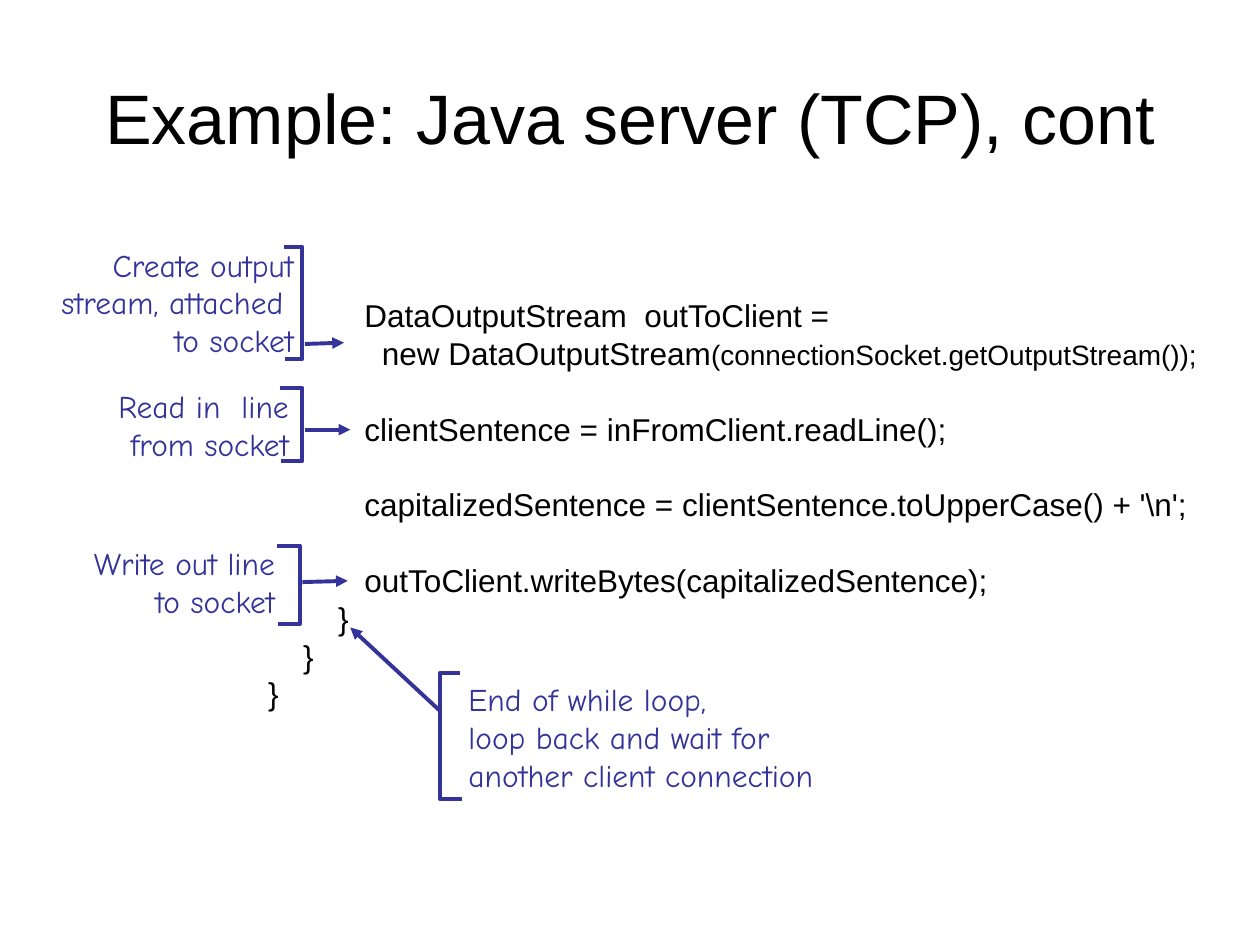
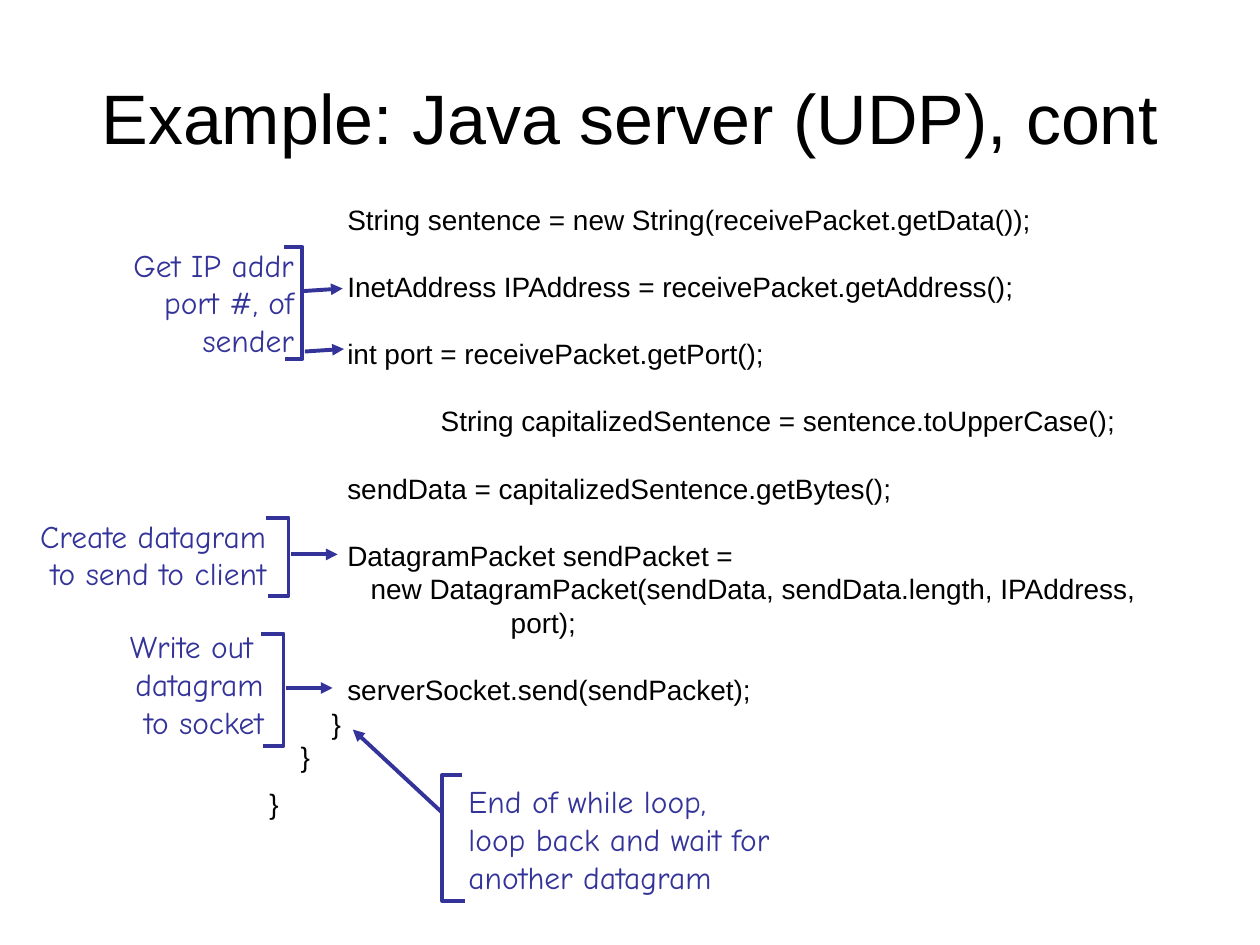
from lxml import etree
from pptx import Presentation
from pptx.dml.color import RGBColor
from pptx.enum.shapes import MSO_CONNECTOR
from pptx.enum.text import MSO_ANCHOR, MSO_AUTO_SIZE, PP_ALIGN
from pptx.oxml.ns import qn
from pptx.util import Inches, Pt

BLACK = RGBColor(0x00, 0x00, 0x00)
INDIGO = RGBColor(0x33, 0x33, 0x99)
STRAIGHT = MSO_CONNECTOR.STRAIGHT
TOP, MIDDLE = MSO_ANCHOR.TOP, MSO_ANCHOR.MIDDLE
LEFT, CENTER, RIGHT = PP_ALIGN.LEFT, PP_ALIGN.CENTER, PP_ALIGN.RIGHT
NO_AUTOFIT = MSO_AUTO_SIZE.NONE

SLIDE_WIDTH, SLIDE_HEIGHT = Inches(10), Inches(7.5)
COLUMNS, ROWS = 100, 75
TITLE_ONLY = 5
LEADING = 1.2
SPACE_WIDTH = 0.278
SIDE_INSET, END_INSET = Inches(0.1), Inches(0.05)


def apply(target, values):
    for name, value in values.items():
        setattr(target, name, value)


class Deck:
    title_font = {"name": "Arial", "size": Pt(40)}
    code_font = {"name": "Arial"}
    note_font = {"name": "Comic Neue", "size": Pt(18)}
    line_width = Pt(2.25)

    def __init__(self):
        self.presentation = Presentation()
        apply(self.presentation,
              {"slide_width": SLIDE_WIDTH, "slide_height": SLIDE_HEIGHT})
        self.slide = None

    def x(self, columns):
        return round(SLIDE_WIDTH * columns / COLUMNS)

    def y(self, rows):
        return round(SLIDE_HEIGHT * rows / ROWS)

    def place(self, left, top, width, height):
        return self.x(left), self.y(top), self.x(width), self.y(height)

    def add_run(self, paragraph, text, font, color):
        run = paragraph.add_run()
        run.text = text
        apply(run.font, font)
        run.font.color.rgb = color

    def add_slide(self, title):
        layout = self.presentation.slide_layouts[TITLE_ONLY]
        self.slide = self.presentation.slides.add_slide(layout)
        shape = self.slide.shapes.title
        left, top, width, height = self.place(5, 3, 90, 12.5)
        apply(shape, {"left": left, "top": top, "width": width, "height": height})
        apply(shape.text_frame,
              {"auto_size": NO_AUTOFIT, "vertical_anchor": MIDDLE})
        paragraph = shape.text_frame.paragraphs[0]
        apply(paragraph, {"alignment": CENTER, "line_spacing": Pt(40 * LEADING)})
        self.add_run(paragraph, title, self.title_font, BLACK)

    def text_box(self, box, frame_format, count):
        frame = self.slide.shapes.add_textbox(*self.place(*box)).text_frame
        apply(frame, {"word_wrap": True, "auto_size": NO_AUTOFIT,
                      "margin_left": SIDE_INSET, "margin_right": SIDE_INSET,
                      "margin_top": END_INSET, "margin_bottom": END_INSET})
        apply(frame, frame_format)
        for _ in range(count - 1):
            frame.add_paragraph()
        return frame.paragraphs

    def code(self, box, size, head_rows, lines):
        frame_format = {"vertical_anchor": TOP,
                        "margin_top": END_INSET + self.y(head_rows)}
        paragraphs = self.text_box(box, frame_format, len(lines))
        pitch = size * LEADING
        for paragraph, (spaces, gap, text, *small) in zip(paragraphs, lines):
            apply(paragraph, {"alignment": LEFT, "line_spacing": Pt(pitch),
                              "space_before": Pt(pitch * gap)})
            properties = paragraph._p.get_or_add_pPr()
            properties.set("marL", str(Pt(spaces * SPACE_WIDTH * size)))
            properties.set("indent", "0")
            self.add_run(paragraph, text, self.code_font | {"size": Pt(size)}, BLACK)
            for tail in small:
                self.add_run(paragraph, tail,
                             self.code_font | {"size": Pt(size - 2)}, BLACK)

    def note(self, box, lines, alignment):
        loose_side = "margin_left" if alignment == RIGHT else "margin_right"
        frame_format = {"vertical_anchor": MIDDLE, loose_side: 0}
        paragraphs = self.text_box(box, frame_format, len(lines))
        for paragraph, text in zip(paragraphs, lines):
            apply(paragraph, {"alignment": alignment,
                              "line_spacing": Pt(18 * LEADING)})
            self.add_run(paragraph, text, self.note_font, INDIGO)

    def draw_line(self, line):
        line.color.rgb = INDIGO
        line.width = self.line_width

    def bracket(self, spine, top, bottom, top_lip, bottom_lip):
        corners = [(spine + top_lip, top), (spine, top),
                   (spine, bottom), (spine + bottom_lip, bottom)]
        start, *others = [(self.x(column), self.y(row)) for column, row in corners]
        builder = self.slide.shapes.build_freeform(*start)
        builder.add_line_segments(others, close=False)
        shape = builder.convert_to_shape()
        shape.fill.background()
        shape.shadow.inherit = False
        self.draw_line(shape.line)

    def arrow(self, from_column, from_row, to_column, to_row):
        connector = self.slide.shapes.add_connector(
            STRAIGHT, self.x(from_column), self.y(from_row),
            self.x(to_column), self.y(to_row))
        self.draw_line(connector.line)
        etree.SubElement(connector.line._get_or_add_ln(), qn("a:tailEnd"),
                         type="triangle")
        etree.SubElement(connector._element.spPr, qn("a:effectLst"))

    def callout(self, box, lines, bracket, arrows, alignment=RIGHT):
        self.note(box, lines, alignment)
        self.bracket(*bracket)
        for arrow in arrows:
            self.arrow(*arrow)

    def loop_callout(self, spine, top, box_width, last_line):
        self.callout((36.2, top + 0.1, box_width, 10),
                     ["End of while loop,", "loop back and wait for", last_line],
                     (spine, top, top + 10, 1.6, 1.8),
                     [(spine, top + 3, spine - 7.1, top - 3.6)], LEFT)


def build_tcp_slide(deck):
    deck.add_slide("Example: Java server (TCP), cont")
    deck.code((20.3, 17.7, 76.4, 43.4), 18, 5.33, [
        (11, 0, "DataOutputStream  outToClient ="),
        (13, 0, "new DataOutputStream", "(connectionSocket.getOutputStream());"),
        (11, 1, "clientSentence = inFromClient.readLine();"),
        (11, 1, r"capitalizedSentence = clientSentence.toUpperCase() + '\n';"),
        (11, 1, "outToClient.writeBytes(capitalizedSentence);"),
        (8, 0, "}"),
        (4, 0, "}"),
        (0, 0, "}"),
    ])
    deck.callout((1.4, 19, 22.9, 10),
                 ["Create output", "stream, attached ", "to socket"],
                 (24, 19.6, 28.5, -1.5, -1.4), [(24.2, 27.3, 27.3, 27.2)])
    deck.callout((8.4, 30.2, 15.5, 7), ["Read in  line", "from socket"],
                 (24, 30.8, 36.6, -1.8, -1.7), [(24.2, 34.1, 27.8, 34.1)])
    deck.callout((6.4, 42.7, 16.4, 7), ["Write out line", "to socket"],
                 (23.8, 43.3, 49.5, -1.8, -1.7), [(24, 46.2, 27.6, 46.1)])
    deck.loop_callout(34.9, 53.4, 29.4, "another client connection")


def build_udp_slide(deck):
    deck.add_slide("Example: Java server (UDP), cont")
    deck.code((20.4, 12.9, 71.5, 53), 16, 2.67, [
        (10, 0, "String sentence = new String(receivePacket.getData());"),
        (10, 1, "InetAddress IPAddress = receivePacket.getAddress();"),
        (10, 1, "int port = receivePacket.getPort();"),
        (22, 1, "String capitalizedSentence = sentence.toUpperCase();"),
        (10, 1, "sendData = capitalizedSentence.getBytes();"),
        (10, 1, "DatagramPacket sendPacket ="),
        (13, 0, "new DatagramPacket(sendData, sendData.length, IPAddress,"),
        (31, 0, "port);"),
        (10, 1, "serverSocket.send(sendPacket);"),
        (8, 0, "}"),
        (4, 0, "}"),
        (0, 0.4, "}"),
    ])
    deck.callout((1.4, 19, 22.9, 10), ["Get IP addr", "port #, of", "sender"],
                 (24, 19.6, 28.5, -1.5, -1.4),
                 [(24.1, 23.1, 27.2, 22.9), (24.2, 27.9, 27.3, 27.7)])
    deck.callout((2, 40.5, 20.1, 7), ["Create datagram", "to send to client"],
                 (22.9, 41.1, 47.3, -1.8, -1.6), [(23.1, 44, 26.8, 44)])
    deck.callout((9.2, 49.3, 12.7, 10), ["Write out ", "datagram", "to socket"],
                 (22.5, 50.3, 59.2, -1.8, -1.6), [(22.7, 54.6, 26.4, 54.6)])
    deck.loop_callout(35.1, 61.5, 26, "another datagram")


def main():
    deck = Deck()
    build_tcp_slide(deck)
    build_udp_slide(deck)
    deck.presentation.save("out.pptx")


if __name__ == "__main__":
    main()
